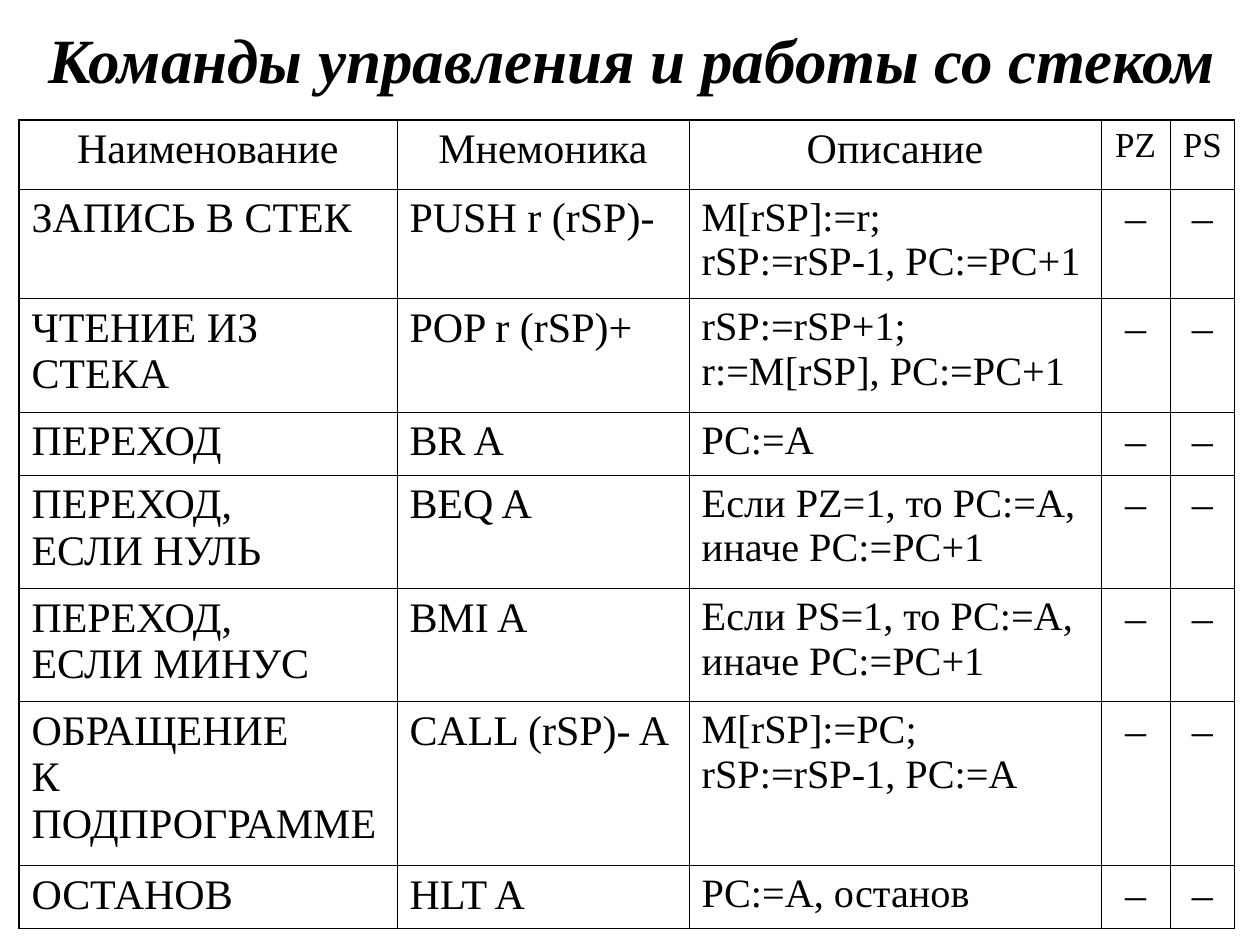
from dataclasses import dataclass

from lxml import etree
from pptx import Presentation
from pptx.dml.color import RGBColor
from pptx.enum.text import MSO_ANCHOR, PP_ALIGN
from pptx.oxml.ns import qn
from pptx.util import Pt

CENTER, LEFT = PP_ALIGN.CENTER, PP_ALIGN.LEFT
MIDDLE = MSO_ANCHOR.MIDDLE


@dataclass(frozen=True)
class Theme:
    font: str = "Times New Roman"
    ink: str = "000000"
    title: float = 36
    body: float = 24
    description: float = 23
    flag_head: float = 20
    frame: float = 1.08
    grid: float = 0.45


THEME = Theme()

TITLE = "Команды управления и работы со стеком"
HEADERS = ["Наименование", "Мнемоника", "Описание", "PZ", "PS"]
# Name, mnemonic, paragraphs of the description; "\n" is a line break.
COMMANDS = [
    ("ЗАПИСЬ В СТЕК", "PUSH r (rSP)-", ["M[rSP]:=r;", "rSP:=rSP-1, PC:=PC+1"]),
    ("ЧТЕНИЕ ИЗ СТЕКА", "POP r (rSP)+", ["rSP:=rSP+1;", "r:=M[rSP], PC:=PC+1"]),
    ("ПЕРЕХОД", "BR A", ["PC:=A"]),
    ("ПЕРЕХОД, \nЕСЛИ НУЛЬ", "BEQ A", ["Если PZ=1, то PC:=A, \nиначе PC:=PC+1"]),
    ("ПЕРЕХОД, \nЕСЛИ МИНУС", "BMI A", ["Если PS=1, то PC:=A, \nиначе PC:=PC+1"]),
    ("ОБРАЩЕНИЕ \nК ПОДПРОГРАММЕ", "CALL (rSP)- A", ["M[rSP]:=PC;", "rSP:=rSP-1, PC:=A"]),
    ("ОСТАНОВ", "HLT A", ["PC:=A, останов"]),
]
FLAG = "–"
DESCRIPTION_COL, FIRST_FLAG_COL = 2, 3
COL_WIDTHS = [216, 167, 235.4, 39.6, 36.7]
ROW_HEIGHTS = [39.6, 62.6, 64.8, 36, 64.8, 64.8, 93.6, 36]


def write(tf, paragraphs, size, align, bold=False, italic=False):
    for i, text in enumerate(paragraphs):
        p = tf.add_paragraph() if i else tf.paragraphs[0]
        p.alignment = align
        for j, line in enumerate(text.split("\n")):
            if j:
                p.add_line_break()
            r = p.add_run()
            r.text = line
            r.font.name = THEME.font
            r.font.size = Pt(size)
            r.font.bold, r.font.italic = bold, italic
            r.font.color.rgb = RGBColor.from_string(THEME.ink)


def set_borders(cell, widths):
    """Draw the left, right, top and bottom borders, in that order."""
    tc_pr = cell._tc.get_or_add_tcPr()
    for i, (side, width) in enumerate(zip("LRTB", widths)):
        ln = etree.Element(qn(f"a:ln{side}"), w=str(int(Pt(width))))
        fill = etree.SubElement(ln, qn("a:solidFill"))
        etree.SubElement(fill, qn("a:srgbClr"), val=THEME.ink)
        tc_pr.insert(i, ln)


def add_title(slide, left, top, width, height):
    s = slide.shapes.add_textbox(Pt(left), Pt(top), Pt(width), Pt(height))
    tf = s.text_frame
    tf.word_wrap = True
    tf.vertical_anchor = MIDDLE
    write(tf, [TITLE], THEME.title, CENTER, bold=True, italic=True)


def cell_style(row, col):
    """Return the type size and alignment of a cell."""
    if row == 0:
        return (THEME.flag_head if col >= FIRST_FLAG_COL else THEME.body), CENTER
    if col == DESCRIPTION_COL:
        return THEME.description, LEFT
    return THEME.body, CENTER if col >= FIRST_FLAG_COL else LEFT


def add_command_table(slide, left, top):
    rows = [[[h] for h in HEADERS]]
    rows += [[[name], [code], text, [FLAG], [FLAG]] for name, code, text in COMMANDS]
    last_row, last_col = len(rows) - 1, len(HEADERS) - 1
    table = slide.shapes.add_table(
        len(rows), len(HEADERS), Pt(left), Pt(top),
        Pt(sum(COL_WIDTHS)), Pt(sum(ROW_HEIGHTS))).table
    table.first_row = table.horz_banding = False
    for column, width in zip(table.columns, COL_WIDTHS):
        column.width = Pt(width)
    for row, height in zip(table.rows, ROW_HEIGHTS):
        row.height = Pt(height)

    for i, row in enumerate(rows):
        for j, paragraphs in enumerate(row):
            cell = table.cell(i, j)
            cell.fill.background()
            on_frame = (j == 0, j == last_col, i == 0, i == last_row)
            set_borders(cell, [THEME.frame if edge else THEME.grid for edge in on_frame])
            write(cell.text_frame, paragraphs, *cell_style(i, j))


def main():
    prs = Presentation()
    prs.slide_width, prs.slide_height = Pt(720), Pt(540)
    slide = prs.slides.add_slide(prs.slide_layouts[6])
    add_command_table(slide, 10.8, 68.4)
    add_title(slide, 16.5, 12.2, 689, 42.5)
    prs.save("out.pptx")


if __name__ == "__main__":
    main()
